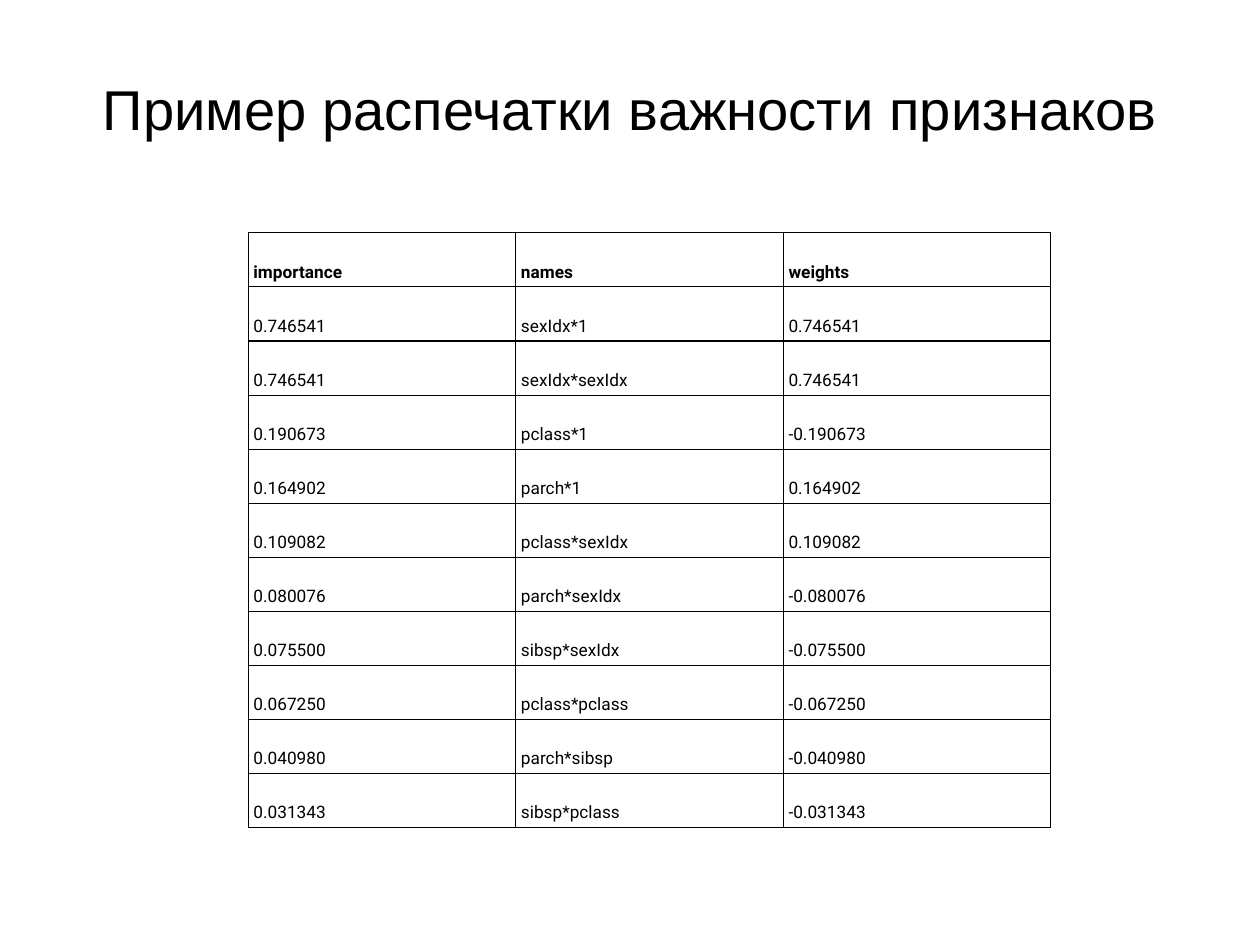
"""Build a slide with a table of feature importances."""
from dataclasses import dataclass

from lxml import etree
from pptx import Presentation
from pptx import util as u
from pptx.dml import color
from pptx.enum import text
from pptx.oxml import ns


@dataclass(frozen=True)
class Theme:
    ink: str = "000000"
    paper: str = "FFFFFF"
    title_font: str = "Arial"
    table_font: str = "Roboto"
    title_size: float = 45.6
    table_size: float = 14
    line_spacing: float = 36
    border: float = 1


@dataclass(frozen=True)
class Feature:
    name: str
    weight: str

    @property
    def cells(self) -> tuple[str, str, str]:
        return self.weight.lstrip("-"), self.name, self.weight


THEME = Theme()
TITLE = "Пример распечатки важности признаков"
HEADER = ("importance", "names", "weights")
FEATURES = (
    Feature("sexIdx*1", "0.746541"),
    Feature("sexIdx*sexIdx", "0.746541"),
    Feature("pclass*1", "-0.190673"),
    Feature("parch*1", "0.164902"),
    Feature("pclass*sexIdx", "0.109082"),
    Feature("parch*sexIdx", "-0.080076"),
    Feature("sibsp*sexIdx", "-0.075500"),
    Feature("pclass*pclass", "-0.067250"),
    Feature("parch*sibsp", "-0.040980"),
    Feature("sibsp*pclass", "-0.031343"),
)
COLUMN_WIDTH = 3.02
HEADER_HEIGHT = 0.59
ROW_HEIGHT = 0.57


def set_insets(box) -> None:
    box.margin_left = box.margin_right = box.margin_top = u.Inches(0.06)
    box.margin_bottom = u.Inches(0.05)
    box.vertical_anchor = text.MSO_ANCHOR.MIDDLE


def set_font(p, name: str, size: float, bold: bool = False) -> None:
    p.font.name, p.font.size, p.font.bold = name, u.Pt(size), bold
    p.font.color.rgb = color.RGBColor.from_string(THEME.ink)


def add_title(slide) -> None:
    sp = slide.shapes.add_textbox(u.Inches(1.04), u.Inches(0.49), u.Inches(12.14), u.Inches(1.46))
    tf = sp.text_frame
    tf.word_wrap = True
    set_insets(tf)
    p = tf.paragraphs[0]
    p.text = TITLE
    p.alignment = text.PP_ALIGN.CENTER
    set_font(p, THEME.title_font, THEME.title_size)


def add_borders(cell) -> None:
    tc_pr = cell._tc.get_or_add_tcPr()
    for side in ("a:lnL", "a:lnR", "a:lnT", "a:lnB"):
        ln = etree.SubElement(tc_pr, ns.qn(side), w=str(u.Pt(THEME.border)))
        fill = etree.SubElement(ln, ns.qn("a:solidFill"))
        etree.SubElement(fill, ns.qn("a:srgbClr"), val=THEME.ink)


def fill_cell(cell, value: str, bold: bool) -> None:
    set_insets(cell)
    add_borders(cell)
    cell.fill.solid()
    cell.fill.fore_color.rgb = color.RGBColor.from_string(THEME.paper)
    p = cell.text_frame.paragraphs[0]
    p.text = value
    p.line_spacing = u.Pt(THEME.line_spacing)
    set_font(p, THEME.table_font, THEME.table_size, bold)


def add_importance_table(slide) -> None:
    rows = [HEADER, *(feature.cells for feature in FEATURES)]
    table = slide.shapes.add_table(
        len(rows), len(HEADER), u.Inches(2.8), u.Inches(2.63),
        u.Inches(COLUMN_WIDTH * len(HEADER)),
        u.Inches(HEADER_HEIGHT + ROW_HEIGHT * len(FEATURES)),
    ).table
    table.first_row = table.horz_banding = False
    for i, values in enumerate(rows):
        table.rows[i].height = u.Inches(ROW_HEIGHT if i else HEADER_HEIGHT)
        for j, value in enumerate(values):
            fill_cell(table.cell(i, j), value, bold=i == 0)


def main() -> None:
    prs = Presentation()
    prs.slide_width, prs.slide_height = u.Inches(14.22), u.Inches(10.67)
    slide = prs.slides.add_slide(prs.slide_layouts[6])
    add_title(slide)
    add_importance_table(slide)
    prs.save("out.pptx")


if __name__ == "__main__":
    main()
